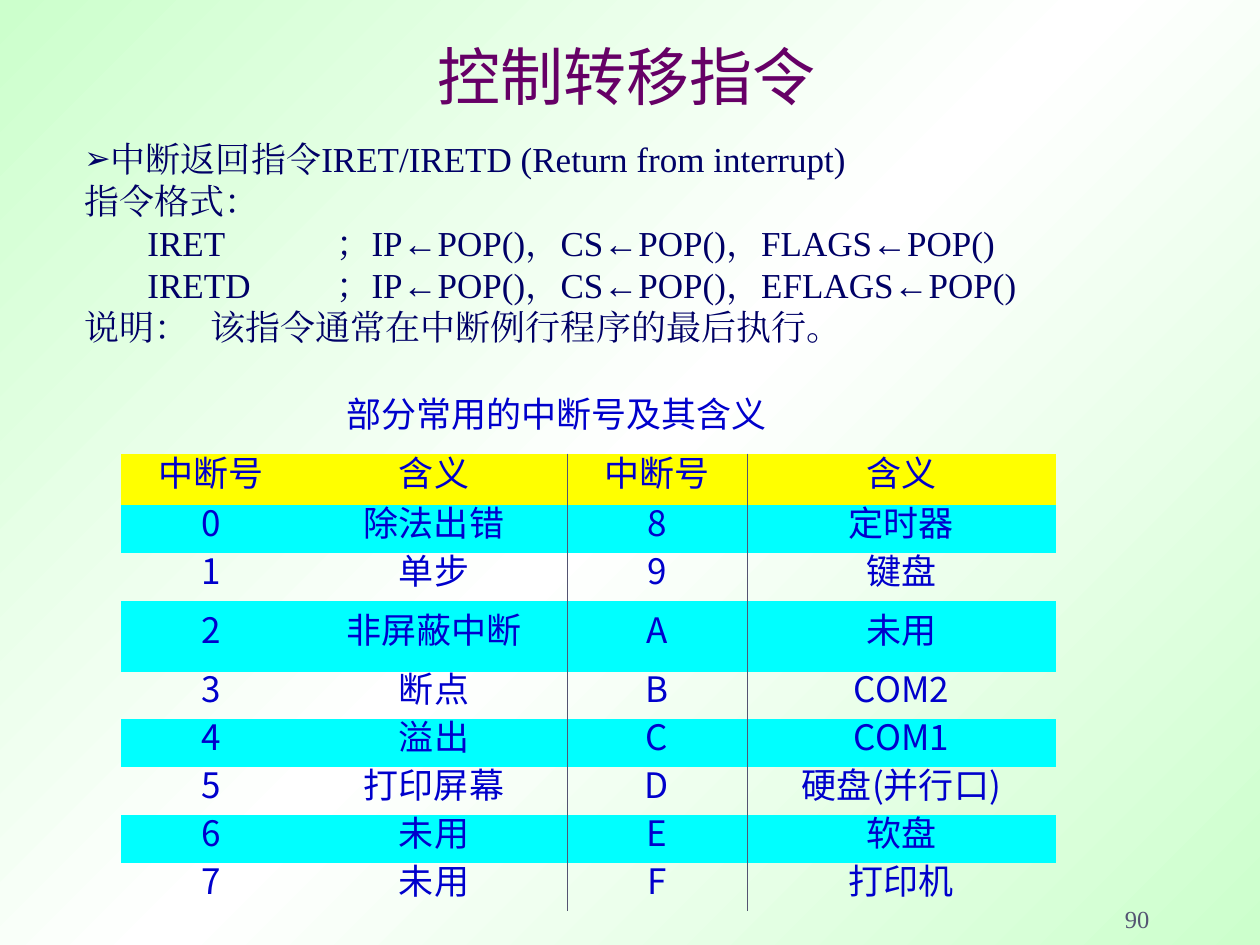
from copy import deepcopy
from dataclasses import dataclass

from lxml import etree
from pptx import Presentation
from pptx.dml.color import RGBColor
from pptx.enum.text import MSO_ANCHOR, MSO_AUTO_SIZE, PP_ALIGN
from pptx.oxml.ns import qn
from pptx.util import Inches, Pt

LEFT, CENTER, RIGHT, JUSTIFY = (
    PP_ALIGN.LEFT, PP_ALIGN.CENTER, PP_ALIGN.RIGHT, PP_ALIGN.JUSTIFY)
TOP_OF, MIDDLE, BOTTOM = MSO_ANCHOR.TOP, MSO_ANCHOR.MIDDLE, MSO_ANCHOR.BOTTOM
FIXED = MSO_AUTO_SIZE.NONE


@dataclass(frozen=True)
class Theme:
    cjk: str = "Noto Sans CJK SC"
    serif: str = "Times New Roman"
    title: str = "660066"
    body: str = "000066"
    table: str = "0000CC"
    muted: str = "545472"
    head: str = "FFFF00"
    band: str = "00FFFF"
    edge: str = "CCFFCC"
    mid: str = "FFFFFF"
    big: int = 36
    text: int = 20
    small: int = 14


theme = Theme()


def style(para, face, size, color, align, pitch=None):
    """Format a whole paragraph, for Latin and East Asian text alike."""
    para.alignment = align
    para.space_before = Pt(0)
    if pitch:
        para.line_spacing = Pt(pitch)
    font = para.font
    font.name, font.size = face, Pt(size)
    font.color.rgb = RGBColor.from_string(color)
    base = para._p.find(".//" + qn("a:defRPr"))
    etree.SubElement(base, qn("a:ea"), typeface=face)
    return base


def place(shape, box, anchor, wrap=True):
    """Move a text shape and fix its frame."""
    shape.left, shape.top, shape.width, shape.height = map(Inches, box)
    frame = shape.text_frame
    frame.auto_size, frame.word_wrap = FIXED, wrap
    frame.vertical_anchor = anchor
    return frame


deck = Presentation()
deck.slide_width, deck.slide_height = Inches(10), Inches(7.5)
slide = deck.slides.add_slide(deck.slide_layouts[1])
shapes = slide.shapes

# Background: green corners, white diagonal
fill = slide.background.fill
fill.gradient()
fill.gradient_angle = 315
stops = slide.element.find(".//" + qn("a:gsLst"))
stops.insert(1, deepcopy(stops[0]))
for stop, (spot, color) in zip(
        fill.gradient_stops, [(0, theme.edge), (0.5, theme.mid), (1, theme.edge)]):
    stop.position = spot
    stop.color.rgb = RGBColor.from_string(color)

# Title
frame = place(shapes.title, (0.72, 0.31, 8.5, 0.59), BOTTOM)
frame.margin_left = frame.margin_right = frame.margin_top = frame.margin_bottom = 0
frame.text = "控制转移指令"
style(frame.paragraphs[0], theme.cjk, theme.big, theme.title, CENTER)

# Instruction text
lines = [
    "中断返回指令IRET/IRETD (Return from interrupt)",
    "指令格式：",
    "\tIRET\t\t；IP←POP()，CS←POP()，FLAGS←POP()",
    "\tIRETD\t\t；IP←POP()，CS←POP()，EFLAGS←POP()",
    "说明：\t该指令通常在中断例行程序的最后执行。",
]
frame = place(slide.placeholders[1], (0.57, 1.04, 8.66, 1.77), MIDDLE)
frame.text = "\n".join(lines)
for i, para in enumerate(frame.paragraphs):
    base = style(para, theme.serif, theme.text, theme.body,
                 JUSTIFY if i < 2 else LEFT, pitch=24)
    props = base.getparent()
    props.set("marL", "0")
    props.set("indent", "0")
    if i == 0:
        tint = etree.Element(qn("a:buClr"))
        etree.SubElement(tint, qn("a:srgbClr"), val=theme.body)
        marks = [tint,
                 etree.Element(qn("a:buSzPct"), val="90000"),
                 etree.Element(qn("a:buChar"), char="➢")]
    else:
        marks = [etree.Element(qn("a:buNone"))]
    tabs = etree.Element(qn("a:tabLst"))
    for n in range(1, 9):
        etree.SubElement(tabs, qn("a:tab"), pos=str(Inches(n * 7 / 12)), algn="l")
    for mark in marks + [tabs]:
        base.addprevious(mark)

# Interrupt table
rows = [
    ("中断号", "含义", "中断号", "含义"),
    ("0", "除法出错", "8", "定时器"),
    ("1", "单步", "9", "键盘"),
    ("2", "非屏蔽中断", "A", "未用"),
    ("3", "断点", "B", "COM2"),
    ("4", "溢出", "C", "COM1"),
    ("5", "打印屏幕", "D", "硬盘(并行口)"),
    ("6", "未用", "E", "软盘"),
    ("7", "未用", "F", "打印机"),
]
widths = [1.43, 2.11, 1.43, 2.45]
heights = [0.41, 0.38, 0.38, 0.56] + [0.38] * 5
rules = {1: "a:lnR", 2: "a:lnL"}  # the two sides of the middle rule
table = shapes.add_table(
    len(rows), len(widths), Inches(0.96), Inches(3.6),
    Inches(sum(widths)), Inches(sum(heights))).table
table.first_row = table.horz_banding = False
plain = "{2D5ABB26-0587-4C30-8999-92F81FD0307C}"
table._tbl.find(".//" + qn("a:tableStyleId")).text = plain
for col, width in zip(table.columns, widths):
    col.width = Inches(width)
for r, (row, height) in enumerate(zip(rows, heights)):
    table.rows[r].height = Inches(height)
    for c, word in enumerate(row):
        cell = table.cell(r, c)
        cell.text = word
        cell.vertical_anchor = MIDDLE
        style(cell.text_frame.paragraphs[0], theme.cjk, theme.text,
              theme.table, CENTER, pitch=20)
        if r == 0 or r % 2:
            cell.fill.solid()
            cell.fill.fore_color.rgb = RGBColor.from_string(
                theme.band if r else theme.head)
        else:
            cell.fill.background()
        if c in rules:
            line = etree.Element(qn(rules[c]), w=str(Pt(0.45)))
            paint = etree.SubElement(line, qn("a:solidFill"))
            etree.SubElement(paint, qn("a:srgbClr"), val=theme.muted)
            cell._tc.get_or_add_tcPr().insert(0, line)

# Table caption and page number
notes = [
    ("部分常用的中断号及其含义", (2.65, 3.06, 3.6, 0.44), MIDDLE, False,
     (theme.cjk, theme.text, theme.table, LEFT)),
    ("90", (7.14, 6.96, 2.08, 0.5), BOTTOM, True,
     (theme.serif, theme.small, theme.muted, RIGHT)),
]
for words, box, anchor, wrap, look in notes:
    frame = place(shapes.add_textbox(0, 0, 0, 0), box, anchor, wrap)
    frame.text = words
    style(frame.paragraphs[0], *look)

deck.save("out.pptx")
